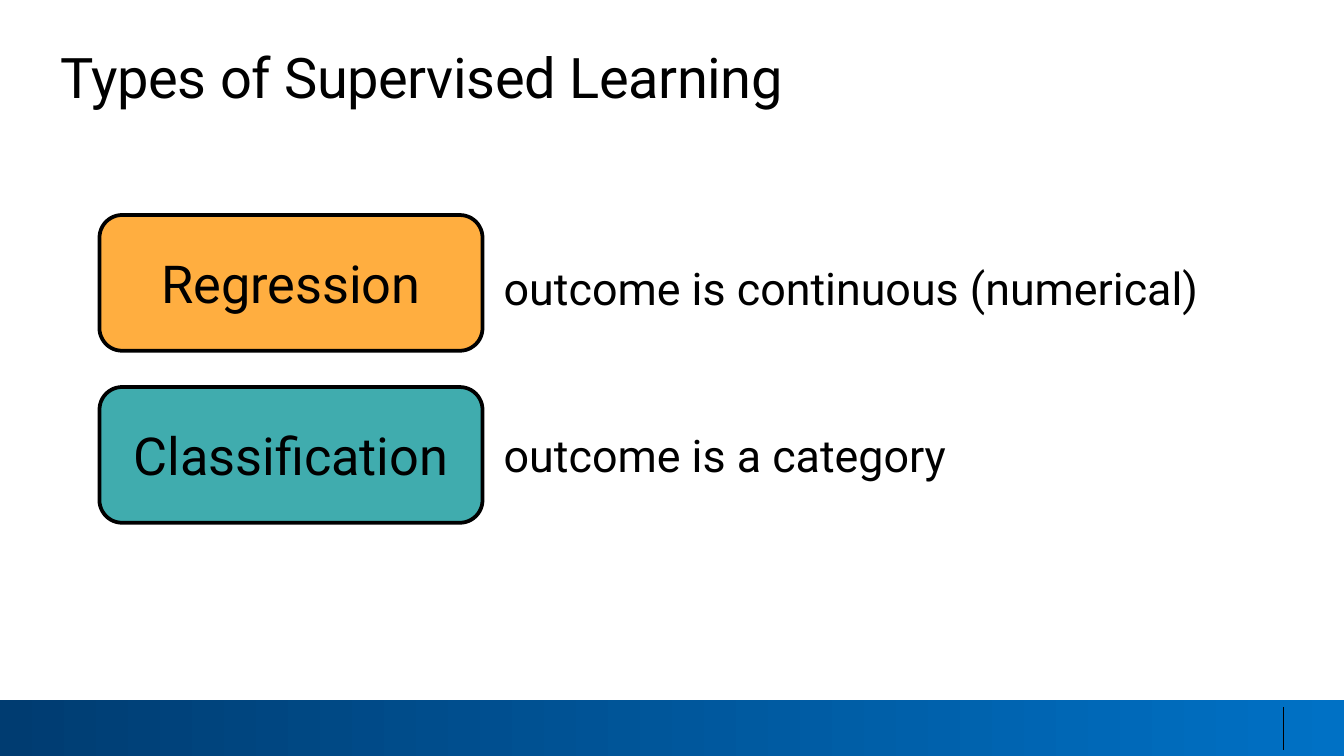
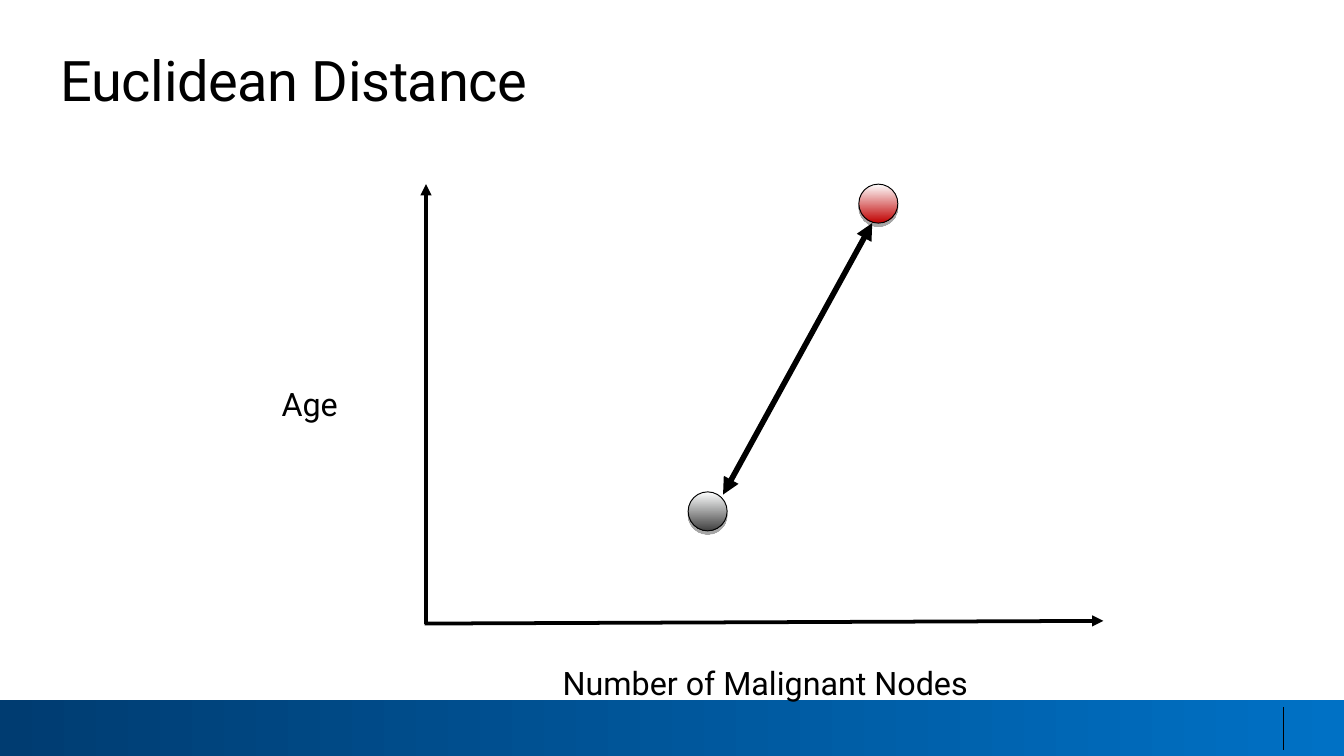
"""Build two slides on supervised learning types and Euclidean distance."""
import pptx
import pptx.dml.color
import pptx.enum.shapes
import pptx.enum.text
import pptx.oxml
import pptx.oxml.ns
import pptx.util

Inches = pptx.util.Inches
Pt = pptx.util.Pt
SHAPE = pptx.enum.shapes.MSO_SHAPE
ALIGN = pptx.enum.text.PP_ALIGN
colour = pptx.dml.color.RGBColor.from_string
BLACK = "000000"
NAMESPACE = pptx.oxml.ns.nsdecls("a")
SHADOW = (
    f'<a:outerShdw {NAMESPACE} blurRad="0" dist="22860" dir="5400000" rotWithShape="0">'
    f'<a:srgbClr val="{BLACK}"><a:alpha val="35000"/></a:srgbClr></a:outerShdw>'
)


def write(box, text, size, align=ALIGN.LEFT, spacing=None, inset=(0, 0), indent=0):
    """Put one styled paragraph into a box and return its text run."""
    frame = box.text_frame
    frame.word_wrap = True
    frame.margin_left = frame.margin_right = Inches(inset[0])
    frame.margin_top = frame.margin_bottom = Inches(inset[1])
    para = frame.paragraphs[0]
    para.alignment = align
    para.line_spacing = spacing
    para._p.get_or_add_pPr().set("marL", str(Inches(indent)))
    span = para.add_run()
    span.text = text
    span.font.name = "Roboto"
    span.font.size = Pt(size)
    span.font.color.rgb = colour(BLACK)
    return span


def add_shaded(page, kind, place, colours, angle):
    """Add a preset shape with a two-colour gradient and a drop shadow."""
    shape = page.shapes.add_shape(kind, *map(Inches, place))
    shape.fill.gradient()
    shape.fill.gradient_angle = angle
    for stop, value in zip(shape.fill.gradient_stops, colours):
        stop.color.rgb = colour(value)
    shape.line.fill.background()
    shape.shadow.inherit = False
    effects = shape._element.spPr.find(pptx.oxml.ns.qn("a:effectLst"))
    effects.append(pptx.oxml.parse_xml(SHADOW))
    return shape


deck = pptx.Presentation()
deck.slide_width = Inches(10)
deck.slide_height = deck.slide_width * 9 // 16

pages = []
for title, top in (("Types of Supervised Learning", 0.32), ("Euclidean Distance", 0.34)):
    page = deck.slides.add_slide(deck.slide_layouts[6])
    add_shaded(page, SHAPE.RECTANGLE, (0, 5.21, 10, 0.42), ("0071C5", "003C71"), 180)
    box = page.shapes.add_textbox(Inches(0.44), Inches(top), Inches(9.23), Inches(0.5))
    span = write(box, title, 30, indent=0.01)
    span.font._element.set("spc", "-20")
    pages.append(page)
types_page, distance_page = pages

learning_types = (
    ("Regression", "FF9300", 1.6, "outcome is continuous (numerical)", (3.65, 1.69, 5.77, 1.3)),
    ("Classification", "009193", 2.88, "outcome is a category", (3.65, 2.93, 5.64, 0.7)),
)
for name, fill, top, outcome, place in learning_types:
    card = types_page.shapes.add_shape(
        SHAPE.ROUNDED_RECTANGLE, Inches(0.74), Inches(top), Inches(2.85), Inches(1.01))
    card.fill.solid()
    card.fill.fore_color.rgb = colour(fill)
    tint = card._element.spPr.find(".//" + pptx.oxml.ns.qn("a:srgbClr"))
    tint.append(pptx.oxml.parse_xml(f'<a:alpha {NAMESPACE} val="75000"/>'))
    card.line.color.rgb = colour(BLACK)
    card.line.width = Pt(2)
    card.shadow.inherit = False
    card.text_frame.vertical_anchor = pptx.enum.text.MSO_ANCHOR.MIDDLE
    write(card, name, 28, ALIGN.CENTER, inset=(0.1, 0.05))
    box = types_page.shapes.add_textbox(*map(Inches, place))
    write(box, outcome, 24, spacing=1.5, inset=(0.1, 0.05))

axis_labels = (
    ("Number of Malignant Nodes", (3.88, 4.83, 3.62, 0.4)),
    ("Age", (1.92, 2.75, 0.76, 0.4)),
)
for label, place in axis_labels:
    box = distance_page.shapes.add_textbox(*map(Inches, place))
    write(box, label, 17.3, ALIGN.CENTER, Pt(28.5), indent=0.01)

for left, top, shade in ((6.39, 1.37, "C00000"), (5.12, 3.66, "404040")):
    point = add_shaded(
        distance_page, SHAPE.OVAL, (left, top, 0.29, 0.29), ("FEFFFF", shade), 270)
    point.line.color.rgb = colour(BLACK)
    point.line.width = Pt(0.5)

footer_rule = ((9.55, 5.26, 9.55, 5.58), 0.75, ())
lines = (
    (types_page, *footer_rule),
    (distance_page, *footer_rule),
    (distance_page, (3.17, 4.64, 3.17, 1.37), 2, ("tailEnd",)),
    (distance_page, (3.16, 4.64, 8.21, 4.62), 2, ("tailEnd",)),
    (distance_page, (5.38, 3.68, 6.49, 1.66), 3, ("headEnd", "tailEnd")),
)
for page, ends, width, arrowheads in lines:
    line = page.shapes.add_connector(
        pptx.enum.shapes.MSO_CONNECTOR.STRAIGHT, *map(Inches, ends))
    line.line.color.rgb = colour(BLACK)
    line.line.width = Pt(width)
    for arrowhead in arrowheads:
        line.line._get_or_add_ln().append(
            pptx.oxml.parse_xml(f'<a:{arrowhead} {NAMESPACE} type="triangle"/>'))
    line._element.spPr.append(pptx.oxml.parse_xml(f"<a:effectLst {NAMESPACE}/>"))

deck.save("out.pptx")
